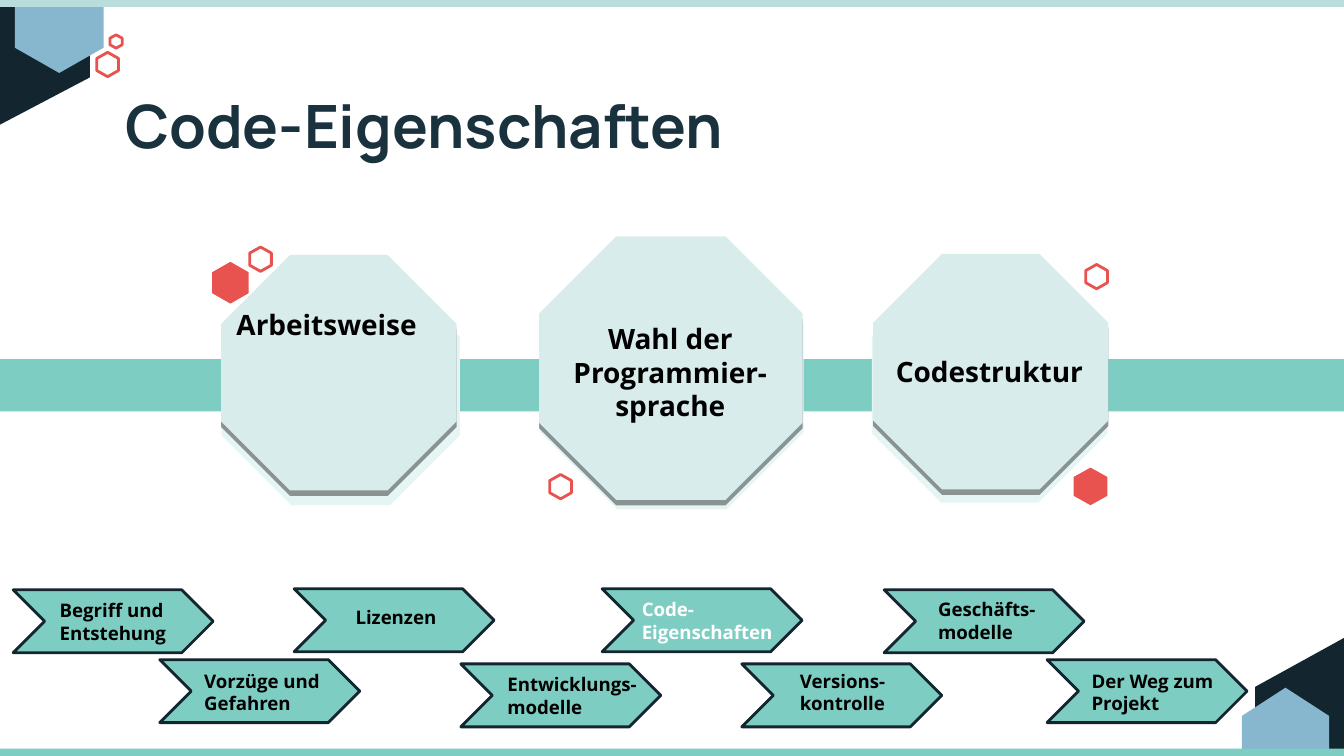
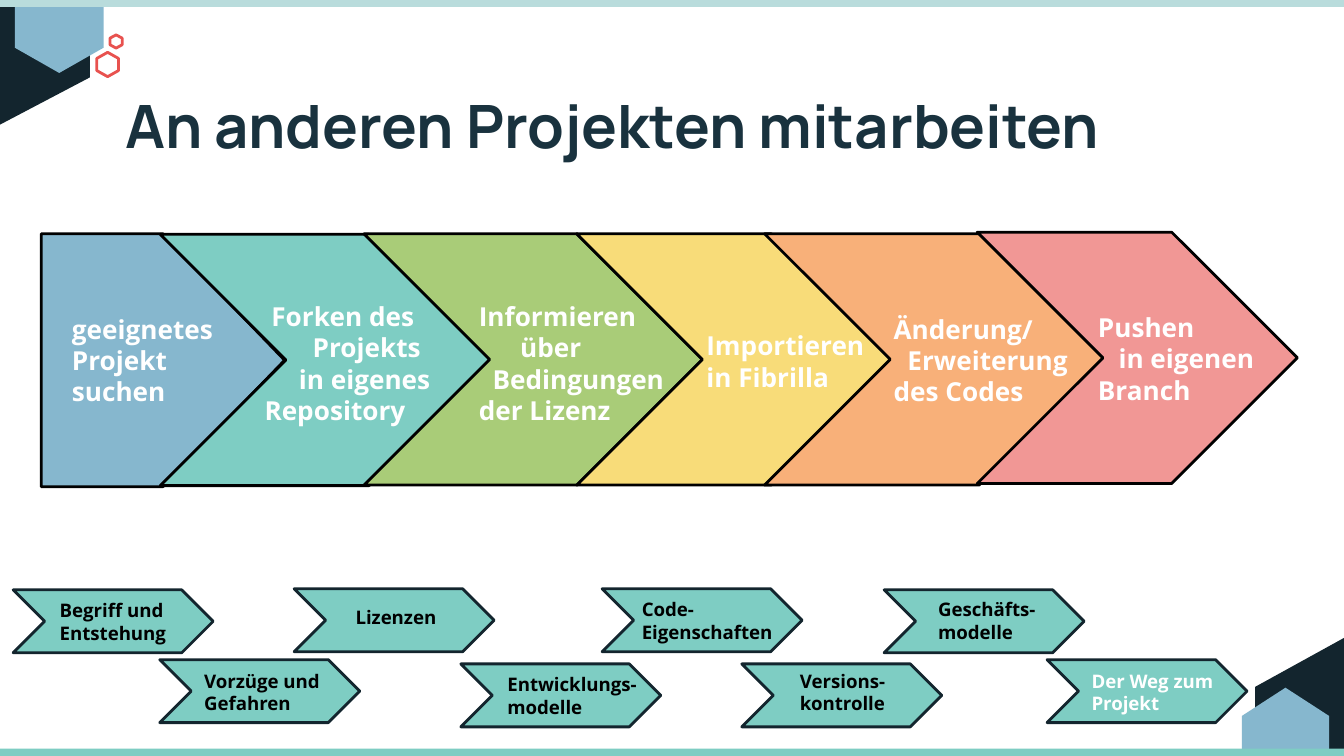
"""Build two slides on code properties and on contributing to other projects."""
from dataclasses import dataclass
from itertools import zip_longest

from lxml import etree
from pptx import Presentation
from pptx import util as u
from pptx.dml.color import RGBColor
from pptx.enum import shapes, text
from pptx.oxml.ns import qn

PAGE_WIDTH, PAGE_HEIGHT = 25.4, 14.29
MINT, PALE_MINT, MIST, ICE = "7ECDC3", "B9DCDC", "E5F5F3", "D9ECEC"
NIGHT, NAVY, SKY, CORAL = "13252E", "19323E", "86B7CE", "E8524F"
BLACK, WHITE = "000000", "FFFFFF"
TITLE_FONT, BODY_FONT = "Manrope", "Open Sans"
LINE_WIDTH = u.Pt(1.5)
MENU_SIZE, OCTAGON_SIZE, STAGE_SIZE = 10, 15, 14
KIND = shapes.MSO_SHAPE


@dataclass(frozen=True)
class Frame:
    left: float
    top: float
    width: float
    height: float

    def lengths(self):
        return [u.Cm(v) for v in (self.left, self.top, self.width, self.height)]


@dataclass(frozen=True)
class Hexagon:
    frame: Frame
    fill: str | None = None
    line: str | None = None
    shoulder: float = 0.25


@dataclass(frozen=True)
class Label:
    lines: tuple[str, ...]
    frame: Frame
    indents: tuple[float, ...] = ()


@dataclass(frozen=True)
class Chapter:
    lines: tuple[str, ...]
    left: float
    top: float
    label_left: float
    label_top: float
    label_height: float = 1.12


@dataclass(frozen=True)
class Stage:
    kind: KIND
    frame: Frame
    fill: str
    label: Label


def ring(left: float, top: float, width: float = 0.41, height: float = 0.46) -> Hexagon:
    return Hexagon(Frame(left, top, width, height), line=CORAL)


CORNERS = (
    Hexagon(Frame(23.72, 12.04, 3.43, 3.94), NIGHT, shoulder=0.24),
    Hexagon(Frame(23.47, 13, 1.65, 1.91), SKY, shoulder=0.28),
    Hexagon(Frame(-1.75, -1.57, 3.45, 3.94), NIGHT, shoulder=0.23),
    ring(1.83, 0.99),
    Hexagon(Frame(0.28, -0.53, 1.68, 1.91), SKY),
    ring(2.08, 0.66, 0.23, 0.25),
)
EDGES = (
    (Frame(0, 14.15, PAGE_WIDTH, 0.14), MINT),
    (Frame(0, 0, PAGE_WIDTH, 0.13), PALE_MINT),
)

CHAPTERS = (
    Chapter(("Begriff und Entstehung",), 0.25, 11.15, 0.88, 11.19),
    Chapter(("Vorzüge und Gefahren",), 3.02, 12.47, 3.61, 12.52),
    Chapter(("Lizenzen",), 5.56, 11.13, 6.47, 11.32, 0.69),
    Chapter(("Entwicklungs-", "modelle"), 8.71, 12.55, 9.34, 12.59),
    Chapter(("Code-", "Eigenschaften"), 11.38, 11.13, 11.88, 11.17),
    Chapter(("Versions-", "kontrolle"), 14.02, 12.55, 14.87, 12.52),
    Chapter(("Geschäfts-", "modelle"), 16.71, 11.15, 17.48, 11.17),
    Chapter(("Der Weg zum", "Projekt"), 19.79, 12.47, 20.38, 12.52),
)

OCTAGON_BACKS = (
    Frame(4.19, 5.05, 4.5, 4.5),
    Frame(10.21, 4.65, 4.98, 4.98),
    Frame(16.48, 5.05, 4.45, 4.45),
)
OCTAGON_FRONTS = (
    Frame(4.18, 4.82, 4.45, 4.45),
    Frame(16.5, 4.8, 4.45, 4.45),
    Frame(10.19, 4.47, 4.98, 4.98),
)
OCTAGON_LABELS = (
    Label(("Arbeitsweise",), Frame(3.98, 5.69, 4.39, 0.89)),
    Label(("Codestruktur",), Frame(16.26, 6.58, 4.88, 0.89)),
    Label(("Wahl der", "Programmier-", "sprache"), Frame(10.03, 5.95, 5.28, 2.16)),
)
OCTAGON_ACCENTS = (
    ring(4.72, 4.67),
    ring(10.39, 8.97),
    ring(20.52, 5),
    Hexagon(Frame(4.01, 4.95, 0.69, 0.79), CORAL),
    Hexagon(Frame(20.29, 8.84, 0.64, 0.71), CORAL),
)

STAGES = (
    Stage(KIND.PENTAGON, Frame(0.78, 4.42, 4.6, 4.78), SKY,
          Label(("geeignetes", "Projekt", "suchen"), Frame(1.11, 5.79, 3.45, 2.03))),
    Stage(KIND.CHEVRON, Frame(3.03, 4.43, 6.32, 4.75), MINT,
          Label(("Forken des", "Projekts", "in eigenes", "Repository"),
                Frame(4.62, 5.54, 5.72, 2.64), (0.26, 1.04, 0.78, 0.13))),
    Stage(KIND.CHEVRON, Frame(6.88, 4.42, 6.4, 4.75), "A9CC78",
          Label(("Informieren", "über", "Bedingungen", "der Lizenz"),
                Frame(8.8, 5.54, 5.28, 2.64), (0, 0.78, 0.26, 0))),
    Stage(KIND.CHEVRON, Frame(10.9, 4.42, 6.05, 4.75), "F8DC79",
          Label(("Importieren", "in Fibrilla"), Frame(13.1, 6.1, 5.28, 1.45))),
    Stage(KIND.CHEVRON, Frame(14.45, 4.42, 6.43, 4.75), "F8B079",
          Label(("Änderung/", "Erweiterung", "des Codes"),
                Frame(16.64, 5.79, 5.28, 2.03), (0, 0.26, 0))),
    Stage(KIND.CHEVRON, Frame(18.47, 4.39, 6.05, 4.75), "F19795",
          Label(("Pushen", "in eigenen", "Branch"),
                Frame(20.5, 5.76, 4.9, 2.03), (0, 0.39, 0))),
)


def rgb(value: str) -> RGBColor:
    return RGBColor.from_string(value)


def apply(target, values: dict) -> None:
    for name, value in values.items():
        setattr(target, name, value)


def style_font(font, face: str, size: float, color: str) -> None:
    apply(font, {"name": face, "size": u.Pt(size), "bold": True})
    font.color.rgb = rgb(color)


def paint(shape, fill: str | None, line: str | None) -> None:
    shape.shadow.inherit = False
    if fill:
        shape.fill.solid()
        shape.fill.fore_color.rgb = rgb(fill)
    else:
        shape.fill.background()
    if line:
        shape.line.color.rgb = rgb(line)
        shape.line.width = LINE_WIDTH
    else:
        shape.line.fill.background()


def draw_shape(page, kind: KIND, frame: Frame, fill: str, line: str | None = None):
    shape = page.shapes.add_shape(kind, *frame.lengths())
    paint(shape, fill, line)
    return shape


def draw_hexagon(page, hexagon: Hexagon) -> None:
    left, top, width, height = hexagon.frame.lengths()
    rise = hexagon.shoulder
    outline = ((0.5, 0), (1, rise), (1, 1 - rise), (0.5, 1), (0, 1 - rise), (0, rise))
    points = [(round(left + x * width), round(top + y * height)) for x, y in outline]
    builder = page.shapes.build_freeform(*points[0])
    builder.add_line_segments(points[1:], close=True)
    paint(builder.convert_to_shape(), hexagon.fill, hexagon.line)


def draw_label(page, label: Label, size: float, color: str,
               align=text.PP_ALIGN.LEFT) -> None:
    box = page.shapes.add_textbox(*label.frame.lengths())
    apply(box.text_frame, {
        "word_wrap": True,
        "auto_size": text.MSO_AUTO_SIZE.SHAPE_TO_FIT_TEXT,
        "vertical_anchor": text.MSO_ANCHOR.MIDDLE,
    })
    for index, (line, indent) in enumerate(
            zip_longest(label.lines, label.indents, fillvalue=0)):
        para = box.text_frame.add_paragraph() if index else box.text_frame.paragraphs[0]
        para.alignment = align
        if indent:
            para._p.get_or_add_pPr().set("marL", str(u.Cm(indent)))
        span = para.add_run()
        span.text = line
        style_font(span.font, BODY_FONT, size, color)


def drop_shadow(shape) -> None:
    effects = shape._element.spPr.find(qn("a:effectLst"))
    shadow = etree.SubElement(effects, qn("a:outerShdw"), dist=str(u.Pt(3)),
                              dir="5400000", algn="bl", rotWithShape="0")
    color = etree.SubElement(shadow, qn("a:srgbClr"), val=BLACK)
    etree.SubElement(color, qn("a:alpha"), val="40000")


def draw_menu(page, current: Chapter) -> None:
    for chapter in CHAPTERS:
        draw_shape(page, KIND.CHEVRON, Frame(chapter.left, chapter.top, 3.78, 1.19),
                   MINT, NIGHT)
    for chapter in CHAPTERS:
        frame = Frame(chapter.label_left, chapter.label_top, 3.35, chapter.label_height)
        draw_label(page, Label(chapter.lines, frame), MENU_SIZE,
                   WHITE if chapter is current else BLACK)


def start_page(deck, heading: str):
    page = deck.slides.add_slide(deck.slide_layouts[5])
    for hexagon in CORNERS:
        draw_hexagon(page, hexagon)
    for frame, color in EDGES:
        draw_shape(page, KIND.RECTANGLE, frame, color)
    title = page.shapes.title
    places = Frame(2.11, 1.57, 21.16, 1.57).lengths()
    apply(title, dict(zip(("left", "top", "width", "height"), places)))
    apply(title.text_frame, {
        "text": heading,
        "word_wrap": True,
        "auto_size": text.MSO_AUTO_SIZE.NONE,
        "vertical_anchor": text.MSO_ANCHOR.BOTTOM,
        "margin_bottom": u.Cm(0.1),
    })
    para = title.text_frame.paragraphs[0]
    para.alignment = text.PP_ALIGN.LEFT
    style_font(para.runs[0].font, TITLE_FONT, 32, NAVY)
    return page


def build_properties(deck) -> None:
    page = start_page(deck, "Code-Eigenschaften")
    draw_shape(page, KIND.RECTANGLE, Frame(0, 6.79, PAGE_WIDTH, 0.99), MINT)
    for frame in OCTAGON_BACKS:
        draw_shape(page, KIND.OCTAGON, frame, MIST)
    for frame in OCTAGON_FRONTS:
        drop_shadow(draw_shape(page, KIND.OCTAGON, frame, ICE))
    for label in OCTAGON_LABELS:
        draw_label(page, label, OCTAGON_SIZE, BLACK, text.PP_ALIGN.CENTER)
    draw_menu(page, CHAPTERS[4])
    for hexagon in OCTAGON_ACCENTS:
        draw_hexagon(page, hexagon)


def build_contributing(deck) -> None:
    page = start_page(deck, "An anderen Projekten mitarbeiten")
    for stage in STAGES:
        draw_shape(page, stage.kind, stage.frame, stage.fill, BLACK)
    for stage in STAGES:
        draw_label(page, stage.label, STAGE_SIZE, WHITE)
    draw_menu(page, CHAPTERS[-1])


def main() -> None:
    deck = Presentation()
    apply(deck, {"slide_width": u.Cm(PAGE_WIDTH), "slide_height": u.Cm(PAGE_HEIGHT)})
    build_properties(deck)
    build_contributing(deck)
    deck.save("out.pptx")


if __name__ == "__main__":
    main()
